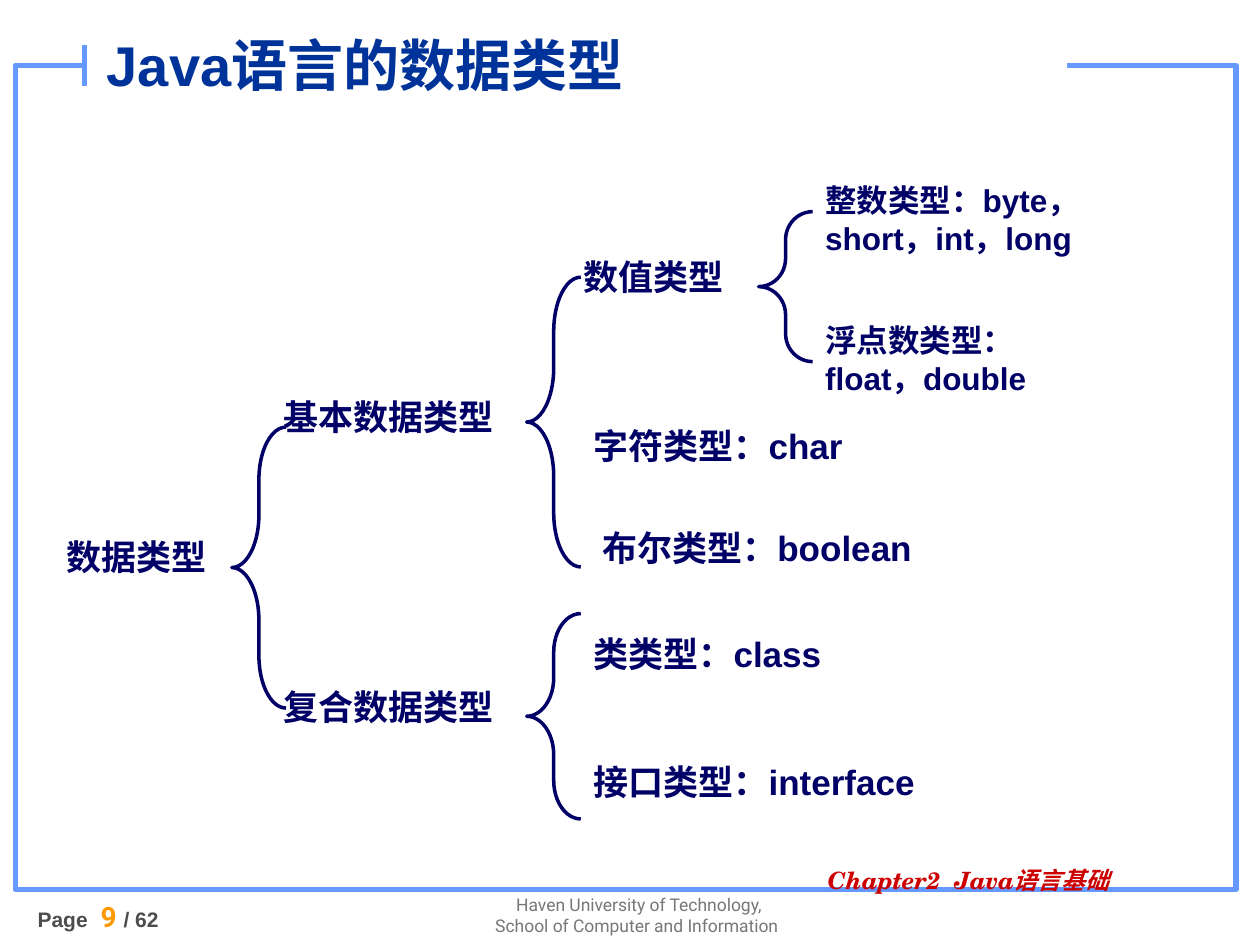
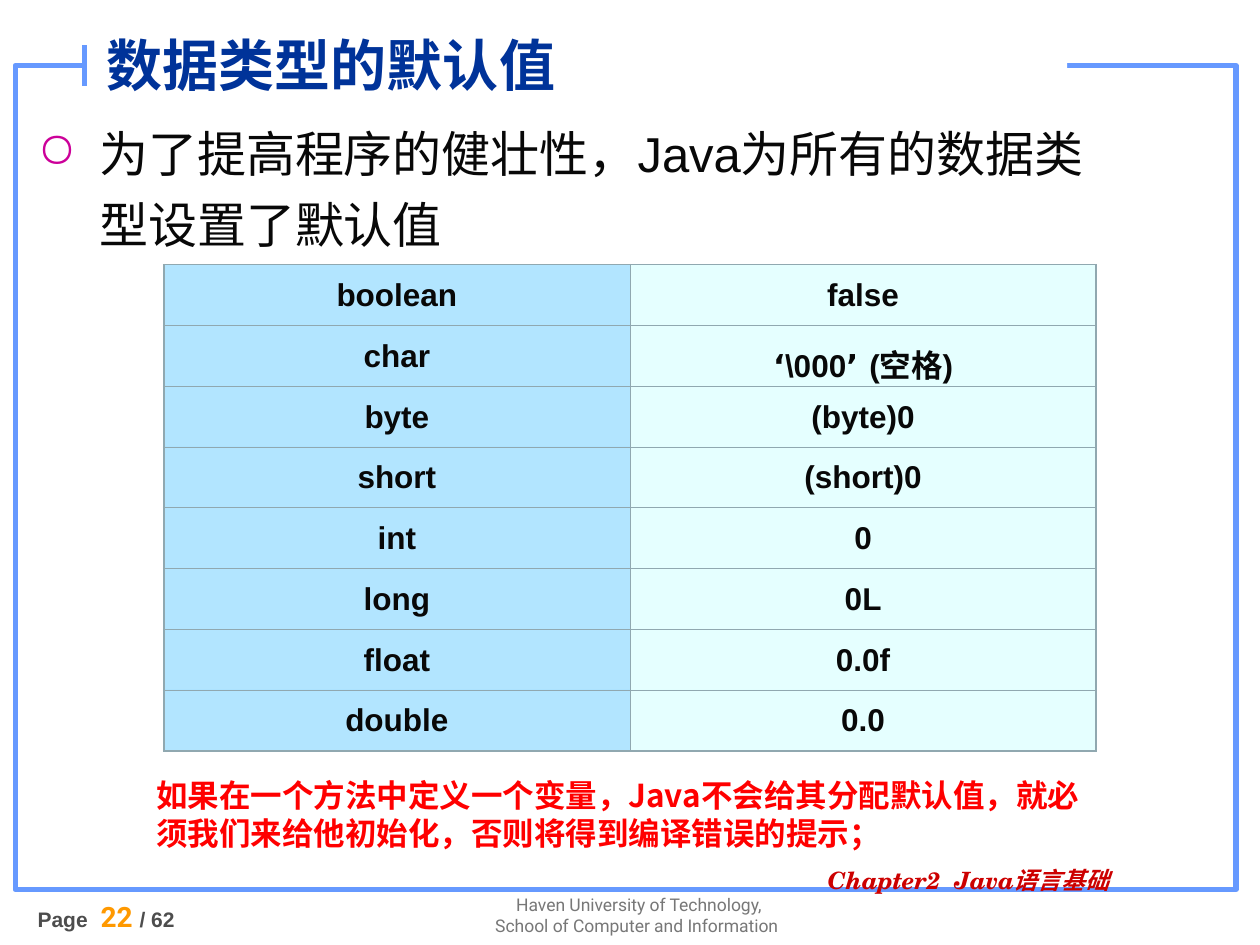
from dataclasses import dataclass

from lxml import etree
from pptx import Presentation
from pptx import util as u
from pptx.dml.color import RGBColor
from pptx.enum import shapes, text
from pptx.oxml.ns import qn

Inches, Pt = u.Inches, u.Pt
ALIGN = text.PP_ALIGN


# Theme: colours, fonts and type sizes
@dataclass(frozen=True)
class Theme:
    frame: str = "6699FF"
    paper: str = "FFFFFF"
    title: str = "003399"
    diagram: str = "000066"
    body: str = "080808"
    bullet: str = "CC0099"
    warning: str = "FF0000"
    chapter: str = "CC0000"
    school: str = "777777"
    page_label: str = "4D4D4D"
    page_number: str = "FF9900"
    type_column: str = "66CCFF"
    value_column: str = "CCFFFF"
    grid: str = "90A8B0"
    sans: str = "Arial"
    footer_font: str = "Roboto"
    chapter_font: str = "TeX Gyre Schola"
    quote_font: str = "DejaVu Sans"
    chinese: str = "Noto Sans CJK SC"
    title_size: float = 32
    body_size: float = 28
    label_size: float = 20
    small_size: float = 18
    number_size: float = 16
    chapter_size: float = 13.6
    page_size: float = 12
    school_size: float = 10


THEME = Theme()


@dataclass(frozen=True)
class Box:
    left: float
    top: float
    width: float
    height: float

    def lengths(self) -> tuple:
        return tuple(Inches(v) for v in (self.left, self.top, self.width, self.height))


@dataclass(frozen=True)
class Span:
    words: str
    size: float
    color: str
    bold: bool = False
    italic: bool = False
    font: str = THEME.sans
    east_asian: str = THEME.chinese


@dataclass(frozen=True)
class Label:
    words: str
    box: Box
    size: float = THEME.label_size


# Text helpers
def add_spans(para, spans: list[Span]) -> None:
    for span in spans:
        run = para.add_run()
        run.text = span.words
        font = run.font
        font.name, font.size = span.font, Pt(span.size)
        font.bold, font.italic = span.bold, span.italic
        font.color.rgb = RGBColor.from_string(span.color)
        latin = run._r.rPr.find(qn("a:latin"))
        latin.addnext(latin.makeelement(qn("a:ea"), {"typeface": span.east_asian}))


def add_text(page, box: Box, *lines: list[Span], align=ALIGN.LEFT,
             anchor=text.MSO_ANCHOR.TOP, spacing: float = 1.0, before: float = 0):
    """Add a wrapping text box with one paragraph per line; return its frame."""
    frame = page.shapes.add_textbox(*box.lengths()).text_frame
    frame.word_wrap = True
    frame.vertical_anchor = anchor
    for index, spans in enumerate(lines):
        para = frame.add_paragraph() if index else frame.paragraphs[0]
        para.alignment = align
        para.line_spacing = spacing
        para.space_before = Pt(before)
        add_spans(para, spans)
    return frame


def add_bullet(para, mark: str, color: str, indent: float) -> None:
    props = para._p.get_or_add_pPr()
    props.set("marL", str(Inches(indent)))
    props.set("indent", str(-Inches(indent)))
    bullet_color = etree.SubElement(props, qn("a:buClr"))
    etree.SubElement(bullet_color, qn("a:srgbClr"), val=color)
    etree.SubElement(props, qn("a:buChar"), char=mark)


# Shape helpers
def add_shape(page, kind, box: Box, fill: str | None = None,
              line: str | None = None, weight: float = 1):
    shape = page.shapes.add_shape(kind, *box.lengths())
    shape.shadow.inherit = False
    if fill:
        shape.fill.solid()
        shape.fill.fore_color.rgb = RGBColor.from_string(fill)
    else:
        shape.fill.background()
    if line:
        shape.line.color.rgb = RGBColor.from_string(line)
        shape.line.width = Pt(weight)
    else:
        shape.line.fill.background()
    return shape


def add_brace(page, box: Box) -> None:
    brace = add_shape(page, shapes.MSO_SHAPE.LEFT_BRACE, box, line=THEME.diagram, weight=2)
    brace.adjustments[0] = 0.1875 * box.height / box.width


# Frame, title and footer shared by the slides
def add_page(deck, title: str, number: int):
    page = deck.slides.add_slide(deck.slide_layouts[6])
    rectangle = shapes.MSO_SHAPE.RECTANGLE
    add_shape(page, rectangle, Box(0.12, 0.52, 9.69, 6.54), line=THEME.frame, weight=3)
    add_shape(page, rectangle, Box(0.67, 0.28, 7.8, 0.35), fill=THEME.paper)

    school_lines = ("Haven University of Technology,", "School of Computer and Information ")
    add_text(page, Box(3.8, 7.05, 2.54, 0.6),
             *([Span(line, THEME.school_size, THEME.school, font=THEME.footer_font)]
               for line in school_lines), align=ALIGN.CENTER)
    add_text(page, Box(0.2, 7.09, 1.81, 0.67), [
        Span("Page ", THEME.page_size, THEME.page_label, True),
        Span(f" {number} ", THEME.number_size, THEME.page_number, True,
             font=THEME.footer_font),
        Span("/ 62", THEME.page_size, THEME.page_label, True),
    ], before=7.5)

    tick = page.shapes.add_connector(shapes.MSO_CONNECTOR.STRAIGHT, Inches(0.67),
                                     Inches(0.36), Inches(0.67), Inches(0.68))
    tick.line.color.rgb = RGBColor.from_string(THEME.frame)
    tick.line.width = Pt(3)
    etree.SubElement(tick._element.spPr, qn("a:effectLst"))

    add_text(page, Box(6.47, 6.85, 3.07, 0.35),
             [Span(words, THEME.chapter_size, THEME.chapter, True, True, THEME.chapter_font)
              for words in ("Chapter2 ", " Java语言基础")], spacing=0.9)
    add_text(page, Box(0.75, 0.11, 6.77, 0.8),
             [Span(title, THEME.title_size, THEME.title, True)],
             anchor=text.MSO_ANCHOR.MIDDLE)
    return page


# Slide 1: tree of data types
BRACES = [
    Box(1.84, 3.39, 0.43, 2.23),
    Box(4.18, 2.2, 0.43, 2.3),
    Box(4.18, 4.87, 0.43, 1.63),
    Box(6.02, 1.68, 0.43, 1.19),
]
TYPE_LABELS = [
    Label("数据类型", Box(0.43, 4.2, 1.56, 0.45)),
    Label("基本数据类型", Box(2.15, 3.09, 2.27, 0.44)),
    Label("复合数据类型", Box(2.15, 5.39, 2.19, 0.44)),
    Label("数值类型", Box(4.53, 1.98, 1.56, 0.44)),
    Label("字符类型：char", Box(4.61, 3.32, 2.83, 0.44)),
    Label("布尔类型：boolean", Box(4.68, 4.13, 3.26, 0.44)),
    Label("类类型：class", Box(4.61, 4.97, 2.19, 0.44)),
    Label("接口类型：interface", Box(4.61, 5.99, 3.47, 0.44)),
    Label("整数类型：byte，short，int，long", Box(6.45, 1.39, 2.41, 0.8), THEME.small_size),
    Label("浮点数类型：float，double", Box(6.45, 2.5, 2.41, 0.8), THEME.small_size),
]


def build_type_tree(deck) -> None:
    page = add_page(deck, "Java语言的数据类型", 9)
    for brace in BRACES:
        add_brace(page, brace)
    for label in TYPE_LABELS:
        add_text(page, label.box, [Span(label.words, label.size, THEME.diagram, True)])


# Slide 2: table of default values
def cell_span(words: str, font: str = THEME.sans, east_asian: str = THEME.chinese) -> Span:
    return Span(words, THEME.small_size, THEME.body, True, font=font, east_asian=east_asian)


def quote_span(words: str) -> Span:
    return cell_span(words, THEME.quote_font, THEME.quote_font)


DEFAULT_VALUES = {
    "boolean": [cell_span("false")],
    "char": [quote_span("‘"), cell_span("\\000"), quote_span("’ "), cell_span("(空格)")],
    "byte": [cell_span("(byte)0")],
    "short": [cell_span("(short)0")],
    "int": [cell_span("0")],
    "long": [cell_span("0L")],
    "float": [cell_span("0.0f")],
    "double": [cell_span("0.0")],
}


def style_cell(cell, fill: str, outer_sides: dict[str, bool]) -> None:
    """Fill at half strength; outer sides get the heavier border."""
    cell.fill.solid()
    cell.fill.fore_color.rgb = RGBColor.from_string(fill)
    props = cell._tc.get_or_add_tcPr()
    etree.SubElement(props.find(".//" + qn("a:srgbClr")), qn("a:alpha"), val="50000")
    for index, (side, outer) in enumerate(outer_sides.items()):
        border = props.makeelement(qn(f"a:ln{side}"), {"w": str(Pt(1.08 if outer else 0.45))})
        solid = etree.SubElement(border, qn("a:solidFill"))
        etree.SubElement(solid, qn("a:srgbClr"), val=THEME.grid)
        props.insert(index, border)


def add_default_table(page, box: Box) -> None:
    count = len(DEFAULT_VALUES)
    table = page.shapes.add_table(count, 2, *box.lengths()).table
    table.first_row = table.horz_banding = False
    for row, (name, value) in enumerate(DEFAULT_VALUES.items()):
        for column, spans in enumerate(([cell_span(name)], value)):
            cell = table.cell(row, column)
            style_cell(cell, (THEME.type_column, THEME.value_column)[column],
                       {"L": column == 0, "R": column == 1,
                        "T": row == 0, "B": row == count - 1})
            para = cell.text_frame.paragraphs[0]
            para.alignment = ALIGN.CENTER
            para.line_spacing = 1.2
            para.space_before = Pt(4.5)
            add_spans(para, spans)


def build_default_values(deck) -> None:
    page = add_page(deck, "数据类型的默认值", 22)
    intro = add_text(page, Box(0.2, 0.84, 8.51, 1.73),
                     [Span("为了提高程序的健壮性，Java为所有的数据类型设置了默认值",
                           THEME.body_size, THEME.body)], spacing=1.2, before=7)
    add_bullet(intro.paragraphs[0], "○", THEME.bullet, 0.49)
    add_default_table(page, Box(1.3, 2.1, 7.4, 3.86))
    warning = ("如果在一个方法中定义一个变量，Java不会给其分配默认值，就"
               "必须我们来给他初始化，否则将得到编译错误的提示；")
    add_text(page, Box(1.14, 6.11, 7.56, 0.7),
             [Span(warning, THEME.small_size, THEME.warning, True, font=THEME.chinese)])


def main() -> None:
    deck = Presentation()
    deck.slide_width, deck.slide_height = Inches(10), Inches(7.5)
    build_type_tree(deck)
    build_default_values(deck)
    deck.save("out.pptx")


if __name__ == "__main__":
    main()
